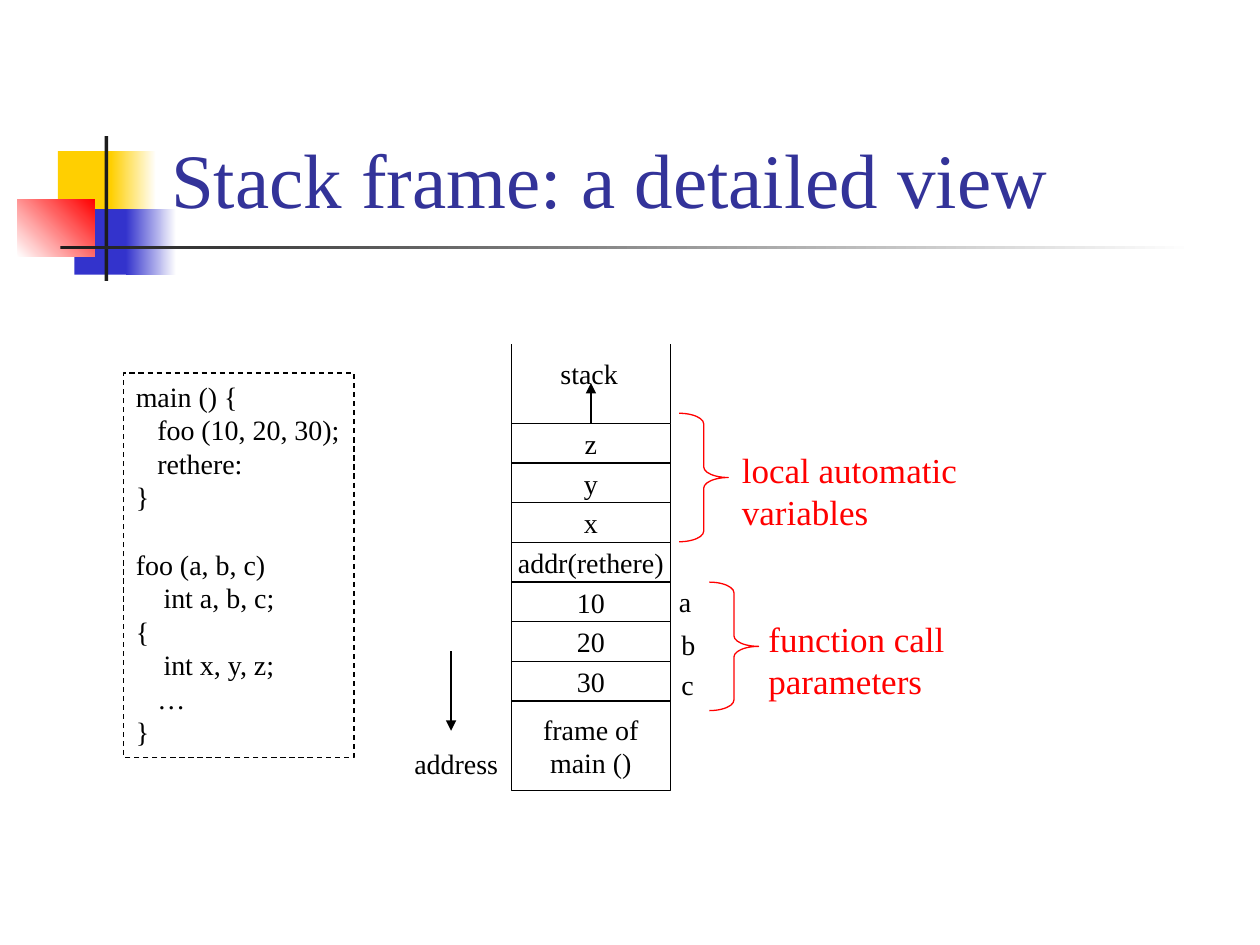
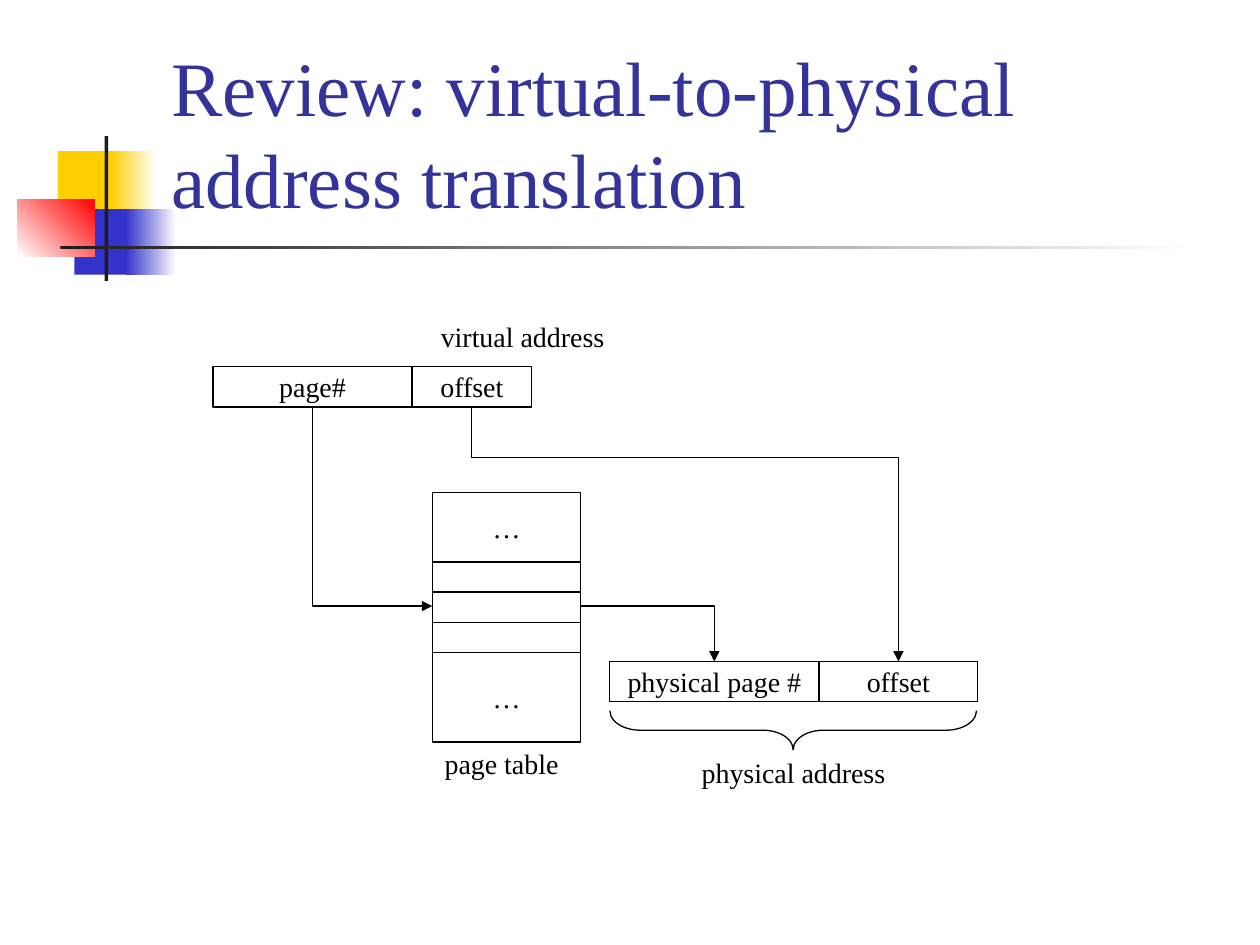
from lxml.etree import SubElement
from pptx import Presentation
from pptx.dml.color import RGBColor
from pptx.enum.dml import MSO_LINE
from pptx.enum.shapes import MSO_CONNECTOR, MSO_SHAPE
from pptx.enum.text import MSO_ANCHOR, MSO_AUTO_SIZE, PP_ALIGN
from pptx.oxml.ns import qn
from pptx.util import Inches, Pt

FONT = "Times New Roman"
BLACK, WHITE, RED = "000000", "FFFFFF", "FF0000"
GOLD, BLUE, DARK, NAVY = "FFCF01", "3333CC", "1C1C1C", "333399"
DECOR = [
    (0.46, 1.2, 0.48, 0.52, GOLD, None, 0),
    (0.88, 1.2, 0.36, 0.52, GOLD, WHITE, 0),
    (0.59, 1.66, 0.46, 0.52, BLUE, None, 0),
    (1, 1.66, 0.4, 0.52, BLUE, WHITE, 0),
    (0.14, 1.58, 0.61, 0.46, WHITE, RED, 45),
    (0.83, 1.08, 0.03, 1.15, DARK, None, 0),
    (0.48, 1.95, 9, 0.03, DARK, WHITE, 0),
]


def rgb(code):
    return RGBColor.from_string(code)


def inches(*sizes):
    return [Inches(size) for size in sizes]


def write(shape, text, size=16, color=BLACK, align=PP_ALIGN.LEFT,
          anchor=MSO_ANCHOR.TOP, wrap=False, right=0.1, indents=None, gaps=None):
    frame = shape.text_frame
    frame.word_wrap = wrap
    frame.auto_size = MSO_AUTO_SIZE.NONE
    frame.vertical_anchor = anchor
    frame.margin_right = Inches(right)
    for row, line in enumerate(text.split("\n")):
        para = frame.paragraphs[0] if row == 0 else frame.add_paragraph()
        para.alignment = align
        para.line_spacing = Pt(size * 1.2)
        if indents and row in indents:
            para._p.get_or_add_pPr().set("marL", str(Inches(indents[row])))
        if gaps and row in gaps:
            para.space_before = Pt(gaps[row])
        run = para.add_run()
        run.text = line
        run.font.name = FONT
        run.font.size = Pt(size)
        run.font.color.rgb = rgb(color)


class Deck:
    """Holds the presentation, its style and the current slide."""

    def __init__(self):
        self.show = Presentation()
        self.show.slide_width, self.show.slide_height = inches(10, 7.5)

    def page(self, title):
        self.slide = self.show.slides.add_slide(self.show.slide_layouts[6])
        self.slide.background.fill.solid()
        self.slide.background.fill.fore_color.rgb = rgb(WHITE)
        for x, y, wide, high, start, end, angle in DECOR:
            self.block(x, y, wide, high, start, end, angle)
        self.label(1.26, 0.23, 8.52, 1.6, title, size=44, color=NAVY,
                   anchor=MSO_ANCHOR.BOTTOM, wrap=True)

    def shape(self, kind, x, y, wide, high):
        shape = self.slide.shapes.add_shape(kind, *inches(x, y, wide, high))
        shape.shadow.inherit = False
        return shape

    def block(self, x, y, wide, high, start, end, angle):
        shape = self.shape(MSO_SHAPE.RECTANGLE, x, y, wide, high)
        shape.line.fill.background()
        if not end:
            shape.fill.solid()
            shape.fill.fore_color.rgb = rgb(start)
            return
        shape.fill.gradient()
        shape.fill.gradient_angle = angle
        for stop, color in zip(shape.fill.gradient_stops, (start, end)):
            stop.color.rgb = rgb(color)

    def stroke(self, shape, color=BLACK):
        shape.line.color.rgb = rgb(color)
        shape.line.width = Pt(0.75)

    def frame(self, x, y, wide, high):
        shape = self.shape(MSO_SHAPE.RECTANGLE, x, y, wide, high)
        shape.fill.background()
        self.stroke(shape)
        return shape

    def cell(self, x, y, wide, high, text=""):
        shape = self.frame(x, y, wide, high)
        if text:
            write(shape, text, align=PP_ALIGN.CENTER, anchor=MSO_ANCHOR.MIDDLE)

    def code(self, x, y, wide, high, text, **style):
        shape = self.frame(x, y, wide, high)
        shape.line.dash_style = MSO_LINE.DASH
        write(shape, text, **style)

    def label(self, x, y, wide, high, text, **style):
        write(self.slide.shapes.add_textbox(*inches(x, y, wide, high)), text, **style)

    def brace(self, kind, x, y, wide, high, bend, color=BLACK, turn=0):
        shape = self.shape(kind, x, y, wide, high)
        shape.fill.background()
        self.stroke(shape, color)
        shape.adjustments[0] = bend
        shape.rotation = turn

    def line(self, start, end, arrow=True, kind=MSO_CONNECTOR.STRAIGHT):
        link = self.slide.shapes.add_connector(kind, *inches(*start, *end))
        self.stroke(link)
        if arrow:
            SubElement(link.line._get_or_add_ln(), qn("a:tailEnd"), type="triangle")
        SubElement(link.element.spPr, qn("a:effectLst"))
        return link.element.spPr

    def elbow(self, start, end, bend=None, down=False):
        """Draw a bent arrow; down makes it leave vertically."""
        if down:
            midx, midy = (start[0] + end[0]) / 2, (start[1] + end[1]) / 2
            halfx, halfy = (end[0] - start[0]) / 2, (end[1] - start[1]) / 2
            start, end = (midx - halfy, midy - halfx), (midx + halfy, midy + halfx)
        props = self.line(start, end, kind=MSO_CONNECTOR.ELBOW)
        if down:
            place = props.find(qn("a:xfrm"))
            place.set("rot", str(270 * 60000))
            place.set("flipH", "1")
        form = props.find(qn("a:prstGeom"))
        if bend is None:
            form.set("prst", "bentConnector2")
        else:
            SubElement(form.find(qn("a:avLst")), qn("a:gd"),
                       name="adj1", fmla=f"val {round(bend * 100000)}")


def stack(deck):
    deck.page("Stack frame: a detailed view")
    code = ("main () {\nfoo (10, 20, 30);\nrethere:\n}\nfoo (a, b, c)\n"
            "int a, b, c;\n{\nint x, y, z;\n…\n}")
    deck.code(0.98, 2.96, 1.83, 3.05, code, gaps={4: 19.2},
              indents={1: 0.17, 2: 0.17, 5: 0.22, 7: 0.22, 8: 0.17})
    left, top, wide, step = 4.06, 3.36, 1.26, 0.315
    slots = ["z", "y", "x", "addr(rethere)", "10", "20", "30"]
    for row, text in enumerate(slots):
        deck.cell(left, top + row * step, wide, step, text)
    deck.cell(left, top + len(slots) * step, wide, 0.71, "frame of\nmain ()")
    for x in (left, left + wide):
        deck.line((x, top), (x, 2.73), arrow=False)
    mid = left + wide / 2
    deck.line((mid, top), (mid, 3.04))
    deck.line((3.58, 5.17), (3.58, 5.8))
    for x, y, size, text in [(4.35, 2.78, 0.66, "stack"), (3.19, 5.88, 0.87, "address"),
                             (5.29, 4.59, 0.3, "a"), (5.31, 4.93, 0.31, "b"),
                             (5.31, 5.25, 0.3, "c")]:
        deck.label(x, y, size, 0.37, text)
    for x, y in [(5.63, 4.62), (5.39, 3.28)]:
        deck.brace(MSO_SHAPE.RIGHT_BRACE, x, y, 0.39, 1.02, 0.217, RED)
    for x, y, size, text in [(6, 4.85, 2.88, "function call parameters"),
                             (5.79, 3.51, 2.97, "local automatic variables")]:
        deck.label(x, y, size, 0.43, text, size=20, color=RED, wrap=True, right=1)


def paging(deck):
    deck.page("Review: virtual-to-physical address translation")
    deck.cell(1.69, 2.91, 1.58, 0.32, "page#")
    deck.cell(3.27, 2.91, 0.95, 0.32, "offset")
    y = 3.91
    for high, text in [(0.55, "…"), (0.24, ""), (0.24, ""), (0.24, ""), (0.71, "…")]:
        deck.cell(3.43, y, 1.18, high, text)
        y += high
    deck.cell(4.84, 5.25, 1.66, 0.32, "physical page #")
    deck.cell(6.5, 5.25, 1.26, 0.32, "offset")
    deck.elbow((2.48, 3.23), (3.43, 4.81), down=True)
    deck.elbow((4.61, 4.81), (5.67, 5.25))
    deck.elbow((3.74, 3.23), (7.13, 5.25), bend=0.198, down=True)
    deck.brace(MSO_SHAPE.LEFT_BRACE, 6.14, 4.34, 0.31, 2.91, 0.773, turn=270)
    for x, y, size, text in [(3.4, 2.49, 1.51, "virtual address"),
                             (3.43, 5.88, 1.11, "page table"),
                             (5.47, 5.95, 1.67, "physical address")]:
        deck.label(x, y, size, 0.37, text)


deck = Deck()
stack(deck)
paging(deck)
deck.show.save("out.pptx")
